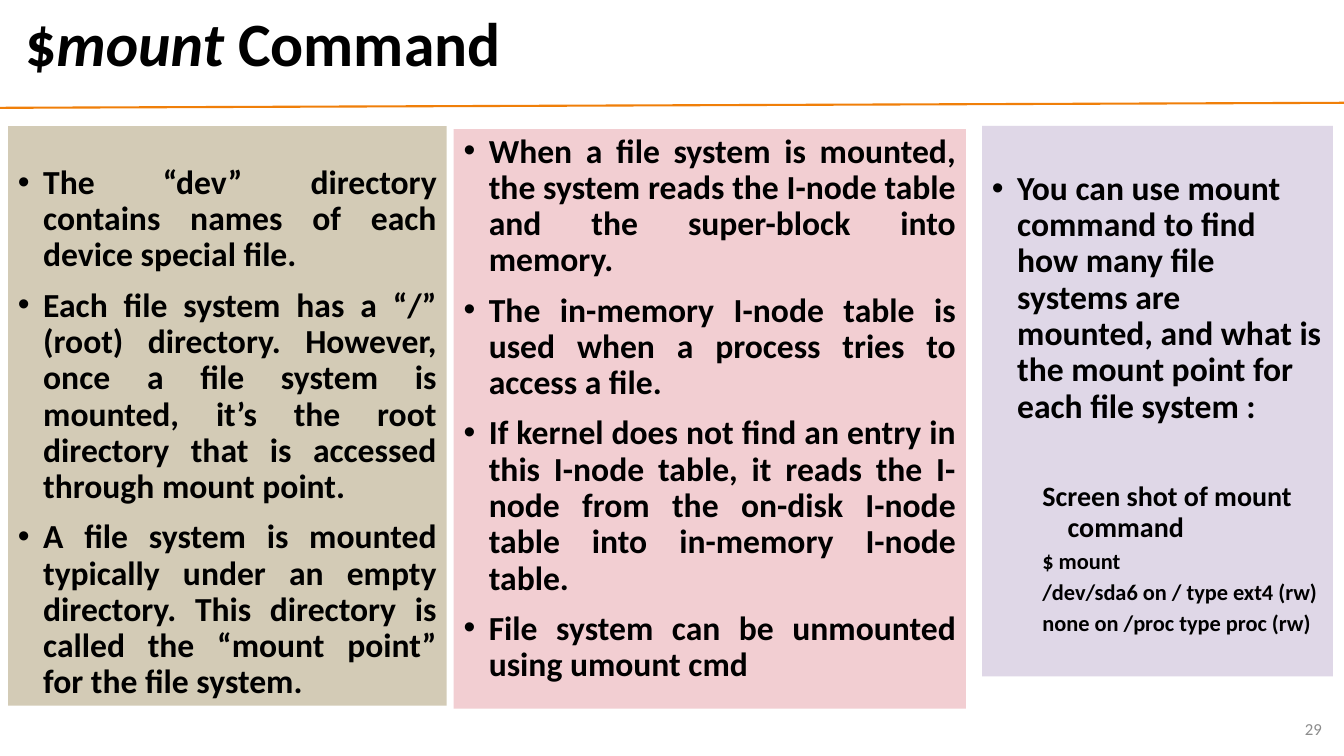
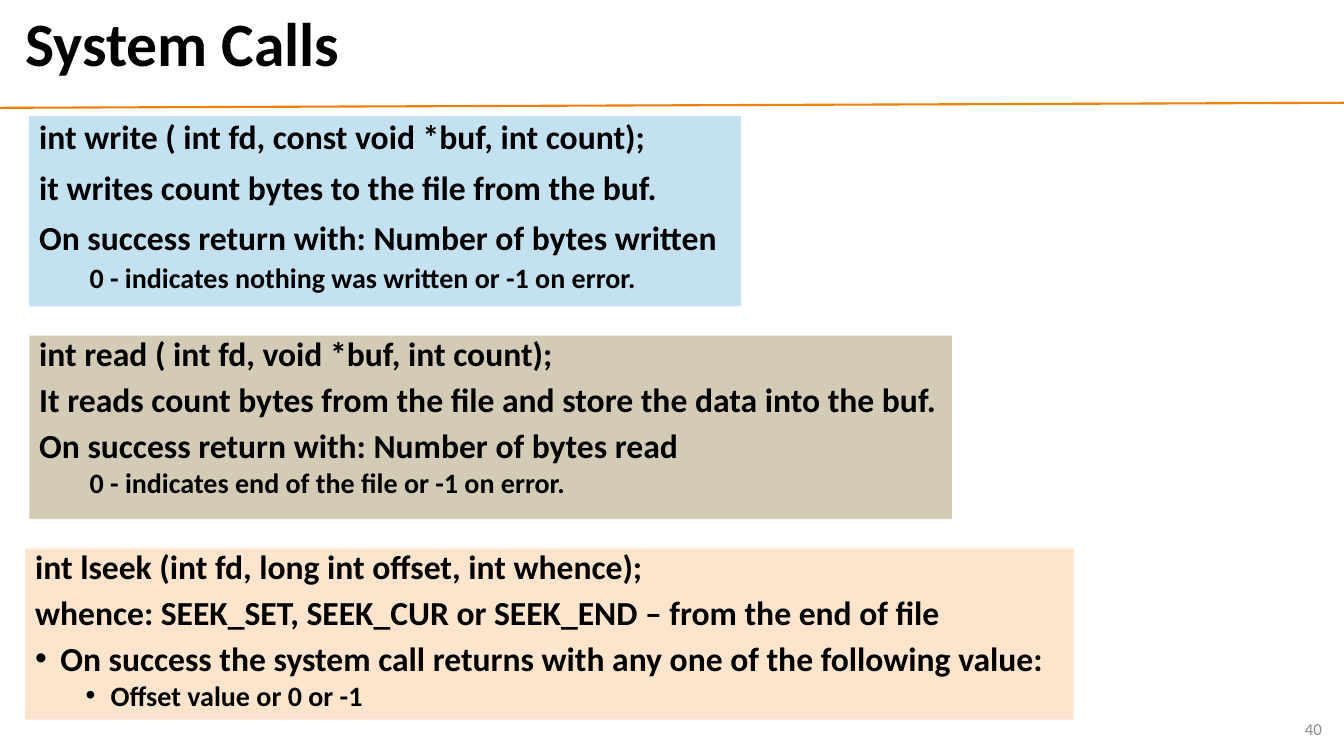
from lxml import etree
from pptx import Presentation
from pptx.dml.color import RGBColor
from pptx.enum.shapes import MSO_CONNECTOR, MSO_SHAPE
from pptx.enum.text import MSO_ANCHOR, PP_ALIGN
from pptx.oxml.ns import qn
from pptx.util import Pt

PX = 9144
BLANK_LAYOUT = 6
FONT = "Calibri"
STRAIGHT = MSO_CONNECTOR.STRAIGHT
RECTANGLE = MSO_SHAPE.RECTANGLE
TOP, MIDDLE = MSO_ANCHOR.TOP, MSO_ANCHOR.MIDDLE
LEFT, RIGHT, JUSTIFY = PP_ALIGN.LEFT, PP_ALIGN.RIGHT, PP_ALIGN.JUSTIFY

BLACK = RGBColor(0x00, 0x00, 0x00)
GRAY = RGBColor(0x8C, 0x8C, 0x8C)
ORANGE = RGBColor(0xF0, 0x7F, 0x09)
LAVENDER = RGBColor(0xDF, 0xD7, 0xE7)
SAND = RGBColor(0xD3, 0xCB, 0xB6)
ROSE = RGBColor(0xF2, 0xCE, 0xD2)
SKY = RGBColor(0xC4, 0xE1, 0xF2)
PEACH = RGBColor(0xFD, 0xE5, 0xCD)

TITLE_FONT = {"name": FONT, "size": Pt(44), "bold": True}
NUMBER_FONT = {"name": FONT, "size": Pt(12)}

HANGING = 25
PLAIN = {"level": 0, "margin": 25, "size": 24, "before": 10, "bullet": False}
BULLET = {**PLAIN, "bullet": True}
SUB = {"level": 1, "margin": 75, "size": 20, "before": 5, "bullet": False}
SUB_BULLET = {**SUB, "bullet": True}
CAPTION = {**SUB, "before": 41}
OUTPUT = {**SUB, "size": 16}

MOUNT_PANELS = [
    {"at": (8, 125, 435, 575), "fill": SAND, "inset": 39, "align": JUSTIFY, "lines": [
        (BULLET, "The “dev” directory contains names of each device special file."),
        (BULLET, "Each file system has a “/” (root) directory. However, once a file system is "
                 "mounted, it’s the root directory that is accessed through mount point."),
        (BULLET, "A file system is mounted typically under an empty directory. This directory "
                 "is called the “mount point” for the file system."),
    ]},
    {"at": (450, 128, 508, 575), "fill": ROSE, "align": JUSTIFY, "lines": [
        (BULLET, "When a file system is mounted, the system reads the I-node table and the "
                 "super-block into memory."),
        (BULLET, "The in-memory I-node table is used when a process tries to access a file."),
        (BULLET, "If kernel does not find an entry in this I-node table, it reads the I-node "
                 "from the on-disk I-node table into in-memory I-node table."),
        (BULLET, "File system can be unmounted using umount cmd"),
    ]},
    {"at": (974, 125, 348, 546), "fill": LAVENDER, "inset": 45, "lines": [
        (BULLET, "You can use mount command to find how many file systems are mounted, and "
                 "what is the mount point for each file system :"),
        (CAPTION, "Screen shot of mount command"),
        (OUTPUT, "$ mount"),
        (OUTPUT, "/dev/sda6 on / type ext4 (rw)"),
        (OUTPUT, "none on /proc type proc (rw)"),
    ]},
]

CALL_PANELS = [
    {"at": (29, 115, 706, 189), "fill": SKY, "lines": [
        (PLAIN, "int write ( int fd, const void *buf, int count);"),
        (PLAIN, "it writes count bytes to the file from the buf."),
        (PLAIN, "On success return with: Number of bytes written"),
        (SUB, "0 - indicates nothing was written or -1 on error."),
    ]},
    {"at": (29, 333, 915, 182), "fill": SAND, "spacing": 0.8, "lines": [
        (PLAIN, "int read ( int fd, void *buf, int count);"),
        (PLAIN, "It reads count bytes from the file and store the data into the buf."),
        (PLAIN, "On success return with: Number of bytes read"),
        (SUB, "0 - indicates end of the file or -1 on error."),
    ]},
    {"at": (25, 544, 1040, 170), "fill": PEACH, "spacing": 0.8, "lines": [
        (PLAIN, "int lseek (int fd, long int offset, int whence);"),
        (PLAIN, "whence: SEEK_SET, SEEK_CUR or SEEK_END – from the end of file"),
        (BULLET, "On success the system call returns with any one of the following value:"),
        (SUB_BULLET, "Offset value or 0 or -1"),
    ]},
]

PAGES = [
    ([("$", False), ("mount", True), (" Command", False)], "29", MOUNT_PANELS),
    ([("System Calls", False)], "40", CALL_PANELS),
]


def emu(*lengths):
    """Turn px lengths into EMU."""
    return [length * PX for length in lengths]


def apply(target, values):
    """Set each format value on the target."""
    for name, value in values.items():
        setattr(target, name, value)


def add_span(para, text, color, font):
    """Add one formatted run to a paragraph."""
    span = para.add_run()
    span.text = text
    apply(span.font, font)
    span.font.color.rgb = color


def set_indent(para, margin, bullet):
    """Give a paragraph its hanging indent and bullet."""
    properties = para._p.get_or_add_pPr()
    properties.set("marL", str(margin * PX))
    properties.set("indent", str(-HANGING * PX))
    if bullet:
        etree.SubElement(properties, qn("a:buFont"), typeface="Arial")
        etree.SubElement(properties, qn("a:buChar"), char="•")
    else:
        etree.SubElement(properties, qn("a:buNone"))


def add_label(page, at, spans, color, font, values):
    """Add a one-paragraph text box centred vertically."""
    frame = page.shapes.add_textbox(*emu(*at)).text_frame
    apply(frame, {"word_wrap": True, "vertical_anchor": MIDDLE})
    para = frame.paragraphs[0]
    apply(para, values)
    for text, italic in spans:
        add_span(para, text, color, {**font, "italic": italic})


def add_rule(page):
    """Draw the line under the title."""
    rule = page.shapes.add_connector(STRAIGHT, *emu(0, 107, 1333, 102))
    rule.line.color.rgb = ORANGE
    rule.line.width = Pt(1.5)
    etree.SubElement(rule._element.spPr, qn("a:effectLst"))


def add_panel(page, at, fill, lines, inset=5, align=LEFT, spacing=0.9):
    """Add a filled rectangle holding styled lines of text."""
    box = page.shapes.add_shape(RECTANGLE, *emu(*at))
    box.shadow.inherit = False
    box.fill.solid()
    box.fill.fore_color.rgb = fill
    box.line.fill.background()
    frame = box.text_frame
    apply(frame, {"word_wrap": True, "vertical_anchor": TOP, "margin_top": inset * PX})
    for index, (style, text) in enumerate(lines):
        para = frame.add_paragraph() if index else frame.paragraphs[0]
        set_indent(para, style["margin"], style["bullet"])
        apply(para, {"level": style["level"], "alignment": align, "line_spacing": spacing,
                     "space_before": Pt(style["before"] if index else 0)})
        add_span(para, text, BLACK, {"name": FONT, "size": Pt(style["size"]), "bold": True})


def add_page(deck, title, number, panels):
    """Add a slide with title, rule, page number and panels."""
    page = deck.slides.add_slide(deck.slide_layouts[BLANK_LAYOUT])
    add_rule(page)
    add_label(page, (15, 5, 1289, 83), title, BLACK, TITLE_FONT,
              {"alignment": LEFT, "line_spacing": 0.9})
    add_label(page, (1021, 703, 300, 40), [(number, False)], GRAY, NUMBER_FONT,
              {"alignment": RIGHT})
    for panel in panels:
        add_panel(page, **panel)


def main():
    """Build and save the deck."""
    deck = Presentation()
    deck.slide_width, deck.slide_height = emu(1333, 750)
    for title, number, panels in PAGES:
        add_page(deck, title, number, panels)
    deck.save("out.pptx")


if __name__ == "__main__":
    main()
